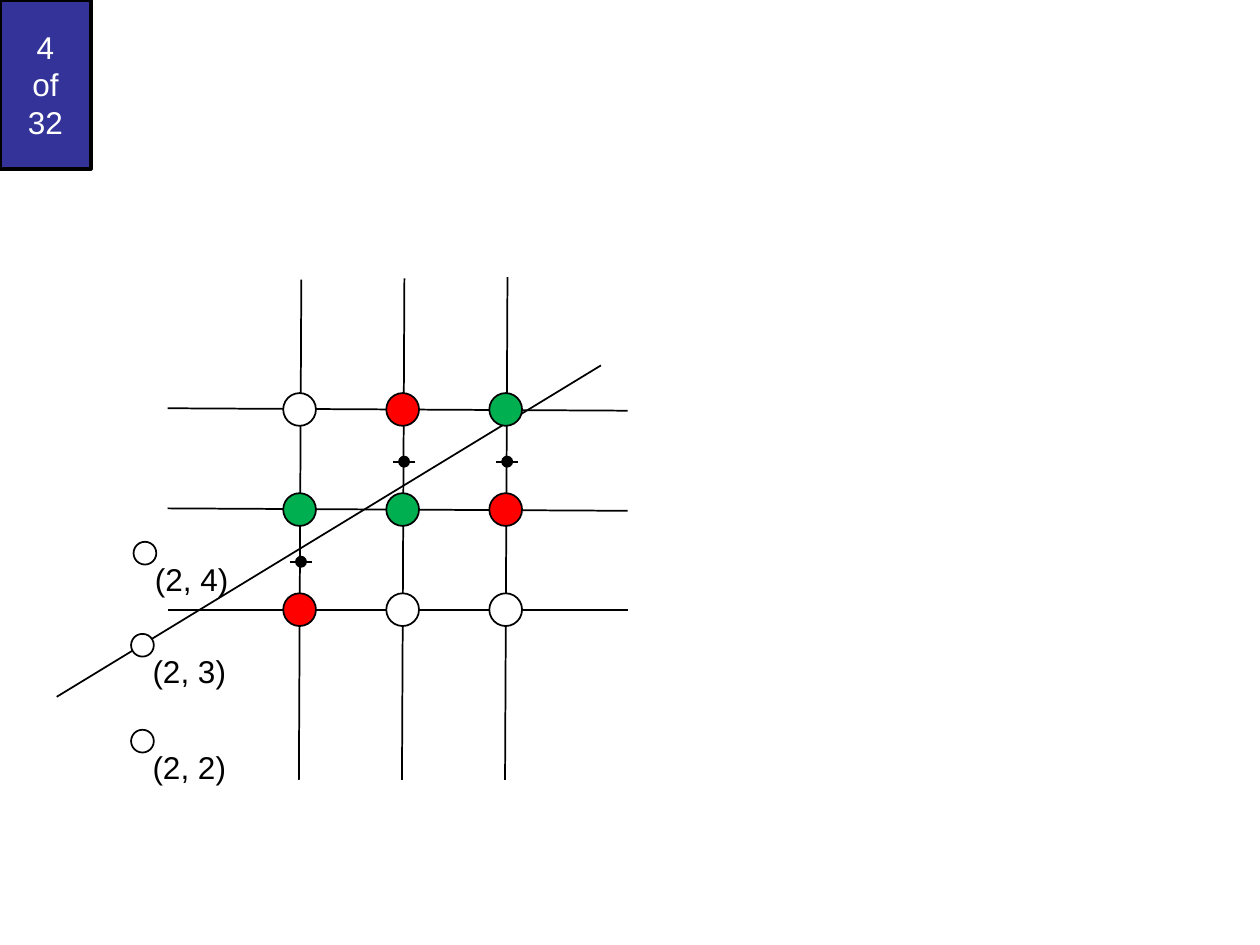
from dataclasses import dataclass

from lxml import etree
from pptx import Presentation
from pptx.dml.color import RGBColor
from pptx.enum.shapes import MSO_CONNECTOR, MSO_SHAPE
from pptx.enum.text import MSO_ANCHOR, MSO_AUTO_SIZE, PP_ALIGN
from pptx.oxml.ns import qn
from pptx.util import Pt

STRAIGHT = MSO_CONNECTOR.STRAIGHT
RECT, OVAL = MSO_SHAPE.RECTANGLE, MSO_SHAPE.OVAL
CENTER, MIDDLE = PP_ALIGN.CENTER, MSO_ANCHOR.MIDDLE
FIT_SHAPE = MSO_AUTO_SIZE.SHAPE_TO_FIT_TEXT


@dataclass(frozen=True)
class Theme:
    font: str = "Arial"
    size: float = 18
    line: float = 1
    badge_line: float = 2
    black: RGBColor = RGBColor(0, 0, 0)
    white: RGBColor = RGBColor(255, 255, 255)
    badge: RGBColor = RGBColor(0x33, 0x33, 0x99)
    green: RGBColor = RGBColor(0, 0xB0, 0x50)
    red: RGBColor = RGBColor(255, 0, 0)


THEME = Theme()


def add_line(shapes, x1, y1, x2, y2):
    ln = shapes.add_connector(STRAIGHT, Pt(x1), Pt(y1), Pt(x2), Pt(y2))
    ln.line.color.rgb = THEME.black
    ln.line.width = Pt(THEME.line)
    etree.SubElement(ln._element.spPr, qn("a:effectLst"))


def add_shape(shapes, kind, x, y, w, h, fill, weight=THEME.line):
    sp = shapes.add_shape(kind, Pt(x), Pt(y), Pt(w), Pt(h))
    sp.shadow.inherit = False
    sp.fill.solid()
    sp.fill.fore_color.rgb = fill
    sp.line.color.rgb = THEME.black
    sp.line.width = Pt(weight)
    return sp


def add_dot(shapes, cx, cy, d, fill):
    add_shape(shapes, OVAL, cx - d / 2, cy - d / 2, d, d, fill)


def add_run(p, text, color):
    r = p.add_run()
    r.text = text
    r.font.name = THEME.font
    r.font.size = Pt(THEME.size)
    r.font.color.rgb = color


def page_badge(shapes, x, y, w, h):
    sp = add_shape(shapes, RECT, x, y, w, h, THEME.badge, THEME.badge_line)
    tf = sp.text_frame
    tf.vertical_anchor = MIDDLE
    p = tf.paragraphs[0]
    p.alignment = CENTER
    for i, text in enumerate(("4", "of", "32")):
        if i:
            p.add_line_break()
        add_run(p, text, THEME.white)


def pixel_grid(shapes, x, y, w, h):
    """Hand-drawn grid: its lines lean slightly, its nodes are evenly spaced."""
    g = shapes.add_group_shape().shapes
    xs = [x + 75.4 + 58.9 * c for c in range(3)]
    ys = [y + 75.6 + 57.2 * r for r in range(3)]

    # Grid lines
    for cy, lean in zip(ys, (0.7, 0.7, 0)):
        add_line(g, x + w, cy + lean, x, cy - lean)
    for c, cx in enumerate(xs):
        add_line(g, cx + 1, y + 1.4 - 0.7 * c, cx - 0.4, y + h)

    # Pixels, row by row
    pixels = (
        (THEME.white, THEME.red, THEME.green),
        (THEME.green, THEME.green, THEME.red),
        (THEME.red, THEME.white, THEME.white),
    )
    for cy, row in zip(ys, pixels):
        for cx, fill in zip(xs, row):
            add_dot(g, cx, cy, 18.7, fill)

    # Midpoints, each below the given row
    for cx, row in zip(xs, (1, 0, 0)):
        cx, cy = cx + 0.8, (ys[row] + ys[row + 1]) / 2 + 1.2
        add_line(g, cx - 6.3, cy, cx + 6.3, cy)
        add_dot(g, cx, cy, 5.8, THEME.black)


def labelled_point(shapes, x, y, w, h, text):
    g = shapes.add_group_shape().shapes
    d = 13
    box = g.add_textbox(Pt(x + 5.2), Pt(y + 6.7), Pt(w - 5.2), Pt(h - 6.7))
    tf = box.text_frame
    tf.word_wrap = False
    tf.auto_size = FIT_SHAPE
    add_run(tf.paragraphs[0], text, THEME.black)
    add_dot(g, x + d / 2, y + d / 2, d, THEME.white)


def main():
    prs = Presentation()
    prs.slide_width, prs.slide_height = Pt(720), Pt(540)
    s = prs.slides.add_slide(prs.slide_layouts[6])

    page_badge(s.shapes, 0, 0, 52, 96.5)
    # Ideal line
    add_line(s.shapes, 32.4, 398.2, 343.4, 208.8)
    pixel_grid(s.shapes, 95.8, 158.4, 262.8, 287.3)
    # Points beside the grid
    points = (
        (74.9, 362.2, "(2, 3)"),
        (76.3, 309.6, "(2, 4)"),
        (74.9, 417, "(2, 2)"),
    )
    for x, y, text in points:
        labelled_point(s.shapes, x, y, 62, 35.8, text)

    prs.save("out.pptx")


if __name__ == "__main__":
    main()
